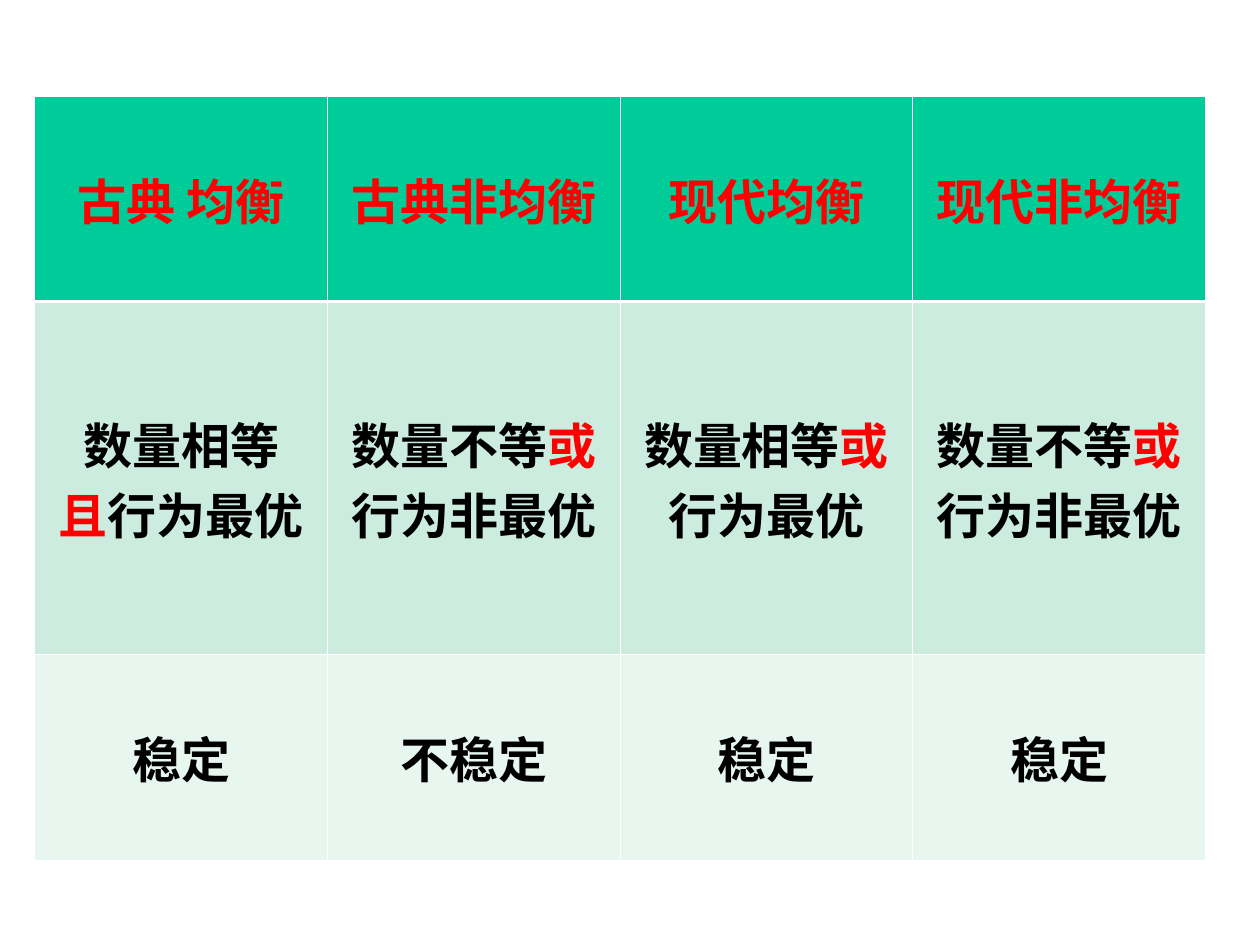
from dataclasses import dataclass

from lxml.etree import SubElement
from pptx import Presentation
from pptx.dml.color import RGBColor
from pptx.enum.text import MSO_ANCHOR as Anchor, PP_ALIGN as Align
from pptx.oxml.ns import qn
from pptx.util import Cm, Pt


@dataclass(frozen=True)
class Theme:
    font: str = "Times New Roman"
    size: float = 28
    text: str = "000000"
    accent: str = "FF0000"
    border: str = "FFFFFF"
    row_fills: tuple = ("00CC99", "CBECDE", "E7F6EF")
    thin: float = 0.45
    thick: float = 1.47


theme = Theme()

# Each cell is a list of paragraphs; a paragraph is a list of (text, colour) runs.
headings = ["古典 均衡", "古典非均衡", "现代均衡", "现代非均衡"]
conditions = [
    [[("数量相等", theme.text)], [("且", theme.accent), ("行为最优", theme.text)]],
    *[
        [[(quantity, theme.text), ("或", theme.accent), (behaviour, theme.text)]]
        for quantity, behaviour in [
            ("数量不等", "行为非最优"),
            ("数量相等", "行为最优"),
            ("数量不等", "行为非最优"),
        ]
    ],
]
stability = ["稳定", "不稳定", "稳定", "稳定"]
rows = [
    [[[(heading, theme.accent)]] for heading in headings],
    conditions,
    [[[(state, theme.text)]] for state in stability],
]
row_heights = [Cm(4.14), Cm(7.12), Cm(4.14)]
column_width = Cm(5.9)


def add_border(cell, side, points):
    line = SubElement(cell._tc.get_or_add_tcPr(), qn(f"a:ln{side}"), w=str(Pt(points)))
    fill = SubElement(line, qn("a:solidFill"))
    SubElement(fill, qn("a:srgbClr"), val=theme.border)


def write_cell(cell, paragraphs):
    frame = cell.text_frame
    cell.vertical_anchor = Anchor.MIDDLE
    for index, runs in enumerate(paragraphs):
        paragraph = frame.add_paragraph() if index else frame.paragraphs[0]
        paragraph.alignment = Align.CENTER
        for text, colour in runs:
            run = paragraph.add_run()
            run.text = text
            run.font.name = theme.font
            run.font.size = Pt(theme.size)
            run.font.bold = True
            run.font.color.rgb = RGBColor.from_string(colour)


presentation = Presentation()
presentation.slide_width = Cm(25.4)
presentation.slide_height = Cm(19.05)
slide = presentation.slides.add_slide(presentation.slide_layouts[6])

table = slide.shapes.add_table(
    len(rows), len(headings), Cm(0.7), Cm(1.94),
    column_width * len(headings), sum(row_heights),
).table
table.first_row = False
table.horz_banding = False
for column in table.columns:
    column.width = column_width

for row_index, (row, height) in enumerate(zip(rows, row_heights)):
    table.rows[row_index].height = height
    # The rule between the header and the body is heavier than the others.
    top = theme.thick if row_index == 1 else theme.thin
    bottom = theme.thick if row_index == 0 else theme.thin
    for column_index, paragraphs in enumerate(row):
        cell = table.cell(row_index, column_index)
        write_cell(cell, paragraphs)
        for side, points in zip("LRTB", (theme.thin, theme.thin, top, bottom)):
            add_border(cell, side, points)
        cell.fill.solid()
        cell.fill.fore_color.rgb = RGBColor.from_string(theme.row_fills[row_index])

presentation.save("out.pptx")
